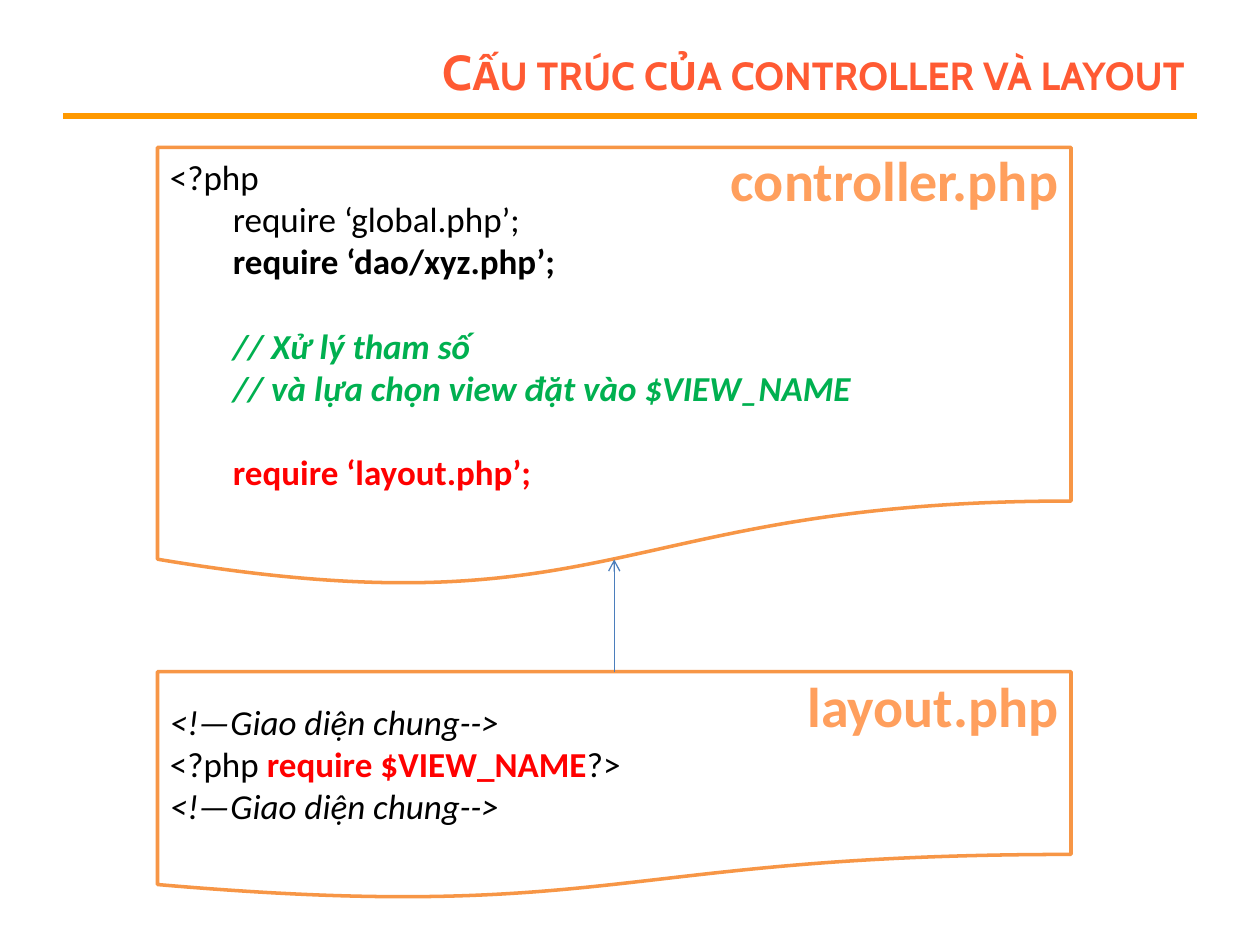
from pptx import Presentation
from pptx.dml.color import RGBColor as RGB
from pptx.enum.shapes import MSO_CONNECTOR as Link, MSO_SHAPE as Kind
from pptx.enum.text import MSO_ANCHOR as Anchor, PP_ALIGN as Align
from pptx.oxml.ns import qn
from pptx.util import Inches, Pt
from lxml.etree import SubElement

WHITE = RGB(0xFF, 0xFF, 0xFF)
BLACK = RGB(0, 0, 0)
RED = RGB(0xFF, 0, 0)
GREEN = RGB(0, 0xB0, 0x50)
CORAL = RGB(0xFF, 0x5A, 0x33)
AMBER = RGB(0xFF, 0x99, 0)
ORANGE = RGB(0xF7, 0x96, 0x46)
PEACH = RGB(0xFF, 0x9F, 0x5D)
BLUE = RGB(0x4B, 0x7E, 0xBC)

LEFT, WIDE = 1.25, 7.25
MID = LEFT + WIDE / 2
BLANK = Pt(24.4)

CODE = [
    (0, 0, [("<?php", BLACK, False, False)]),
    (1, 0, [("require ‘global.php’;", BLACK, False, False)]),
    (1, 0, [("require ‘dao/xyz.php’;", BLACK, True, False)]),
    (1, BLANK, [("// Xử lý tham số", GREEN, True, True)]),
    (1, 0, [("// và lựa chọn view đặt vào $VIEW_NAME", GREEN, True, True)]),
    (1, BLANK, [("require ‘layout.php’;", RED, True, False)]),
]
SHARED = (0, 0, [("<!—Giao diện chung-->", BLACK, False, True)])
VIEW = [
    SHARED,
    (0, 0, [
        ("<?php ", BLACK, False, False),
        ("require $VIEW_NAME", RED, True, False),
        ("?>", BLACK, False, False),
    ]),
    SHARED,
]


def add_run(para, text, size, color, bold, slant=False, face="Calibri"):
    run = para.add_run()
    run.text = text
    font = run.font
    font.name, font.size = face, Pt(size)
    font.bold, font.italic = bold, slant
    font.color.rgb = color
    return run


def add_line(slide, start, end, color, width, arrow=False):
    points = [Inches(n) for n in (*start, *end)]
    line = slide.shapes.add_connector(Link.STRAIGHT, *points)
    line.line.color.rgb = color
    line.line.width = Pt(width)
    if arrow:
        SubElement(line.line._get_or_add_ln(), qn("a:tailEnd"), type="arrow")
    SubElement(line._element.spPr, qn("a:effectLst"))


def add_page(slide, top, high, rows):
    box = [Inches(n) for n in (LEFT, top, WIDE, high)]
    page = slide.shapes.add_shape(Kind.FLOWCHART_DOCUMENT, *box)
    page.shadow.inherit = False
    page.fill.solid()
    page.fill.fore_color.rgb = WHITE
    page.line.color.rgb = ORANGE
    page.line.width = Pt(2)
    frame = page.text_frame
    frame.word_wrap = True
    frame.vertical_anchor = Anchor.MIDDLE
    for i, (level, gap, runs) in enumerate(rows):
        para = frame.add_paragraph() if i else frame.paragraphs[0]
        para.alignment = Align.LEFT
        para.level = level
        para.space_before = gap
        props = para._p.get_or_add_pPr()
        props.set("marL", str(Inches(0.5 * level)))
        props.set("indent", "0")
        for text, color, bold, slant in runs:
            add_run(para, text, 20, color, bold, slant)


def add_text(slide, box, align, wrap):
    shape = slide.shapes.add_textbox(*[Inches(n) for n in box])
    frame = shape.text_frame
    frame.word_wrap = wrap
    frame.vertical_anchor = Anchor.MIDDLE
    para = frame.paragraphs[0]
    para.alignment = align
    return para


def add_title(slide, text):
    para = add_text(slide, (2.25, 0.3, 7.25, 0.53), Align.RIGHT, True)
    run = add_run(para, text, 28, CORAL, True, face="Cabin")
    run.font._element.set("cap", "small")


def add_name(slide, box, text):
    para = add_text(slide, box, Align.CENTER, False)
    add_run(para, text, 32, PEACH, True)


def main():
    deck = Presentation()
    deck.slide_width, deck.slide_height = Inches(10), Inches(7.5)
    slide = deck.slides.add_slide(deck.slide_layouts[6])
    add_line(slide, (0.5, 0.92), (9.5, 0.92), AMBER, 3)
    add_title(slide, "Cấu trúc của controller và layout")
    add_page(slide, 1.17, 3.5, CODE)
    add_page(slide, 5.33, 1.81, VIEW)
    add_name(slide, (5.69, 1.1, 2.82, 0.64), "controller.php")
    add_name(slide, (6.3, 5.28, 2.21, 0.64), "layout.php")
    add_line(slide, (MID, 5.33), (MID, 4.44), BLUE, 0.75, arrow=True)
    deck.save("out.pptx")


if __name__ == "__main__":
    main()
